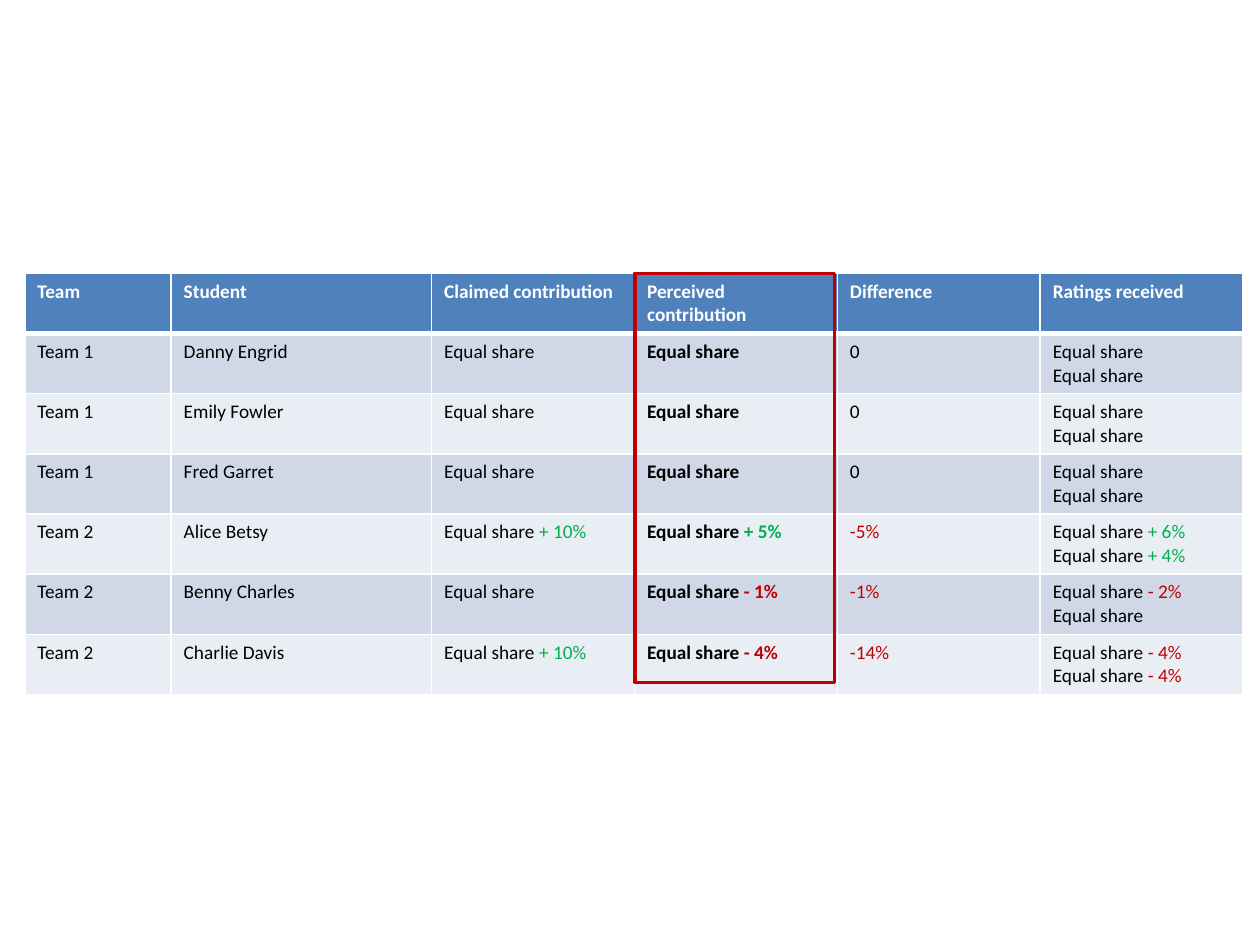
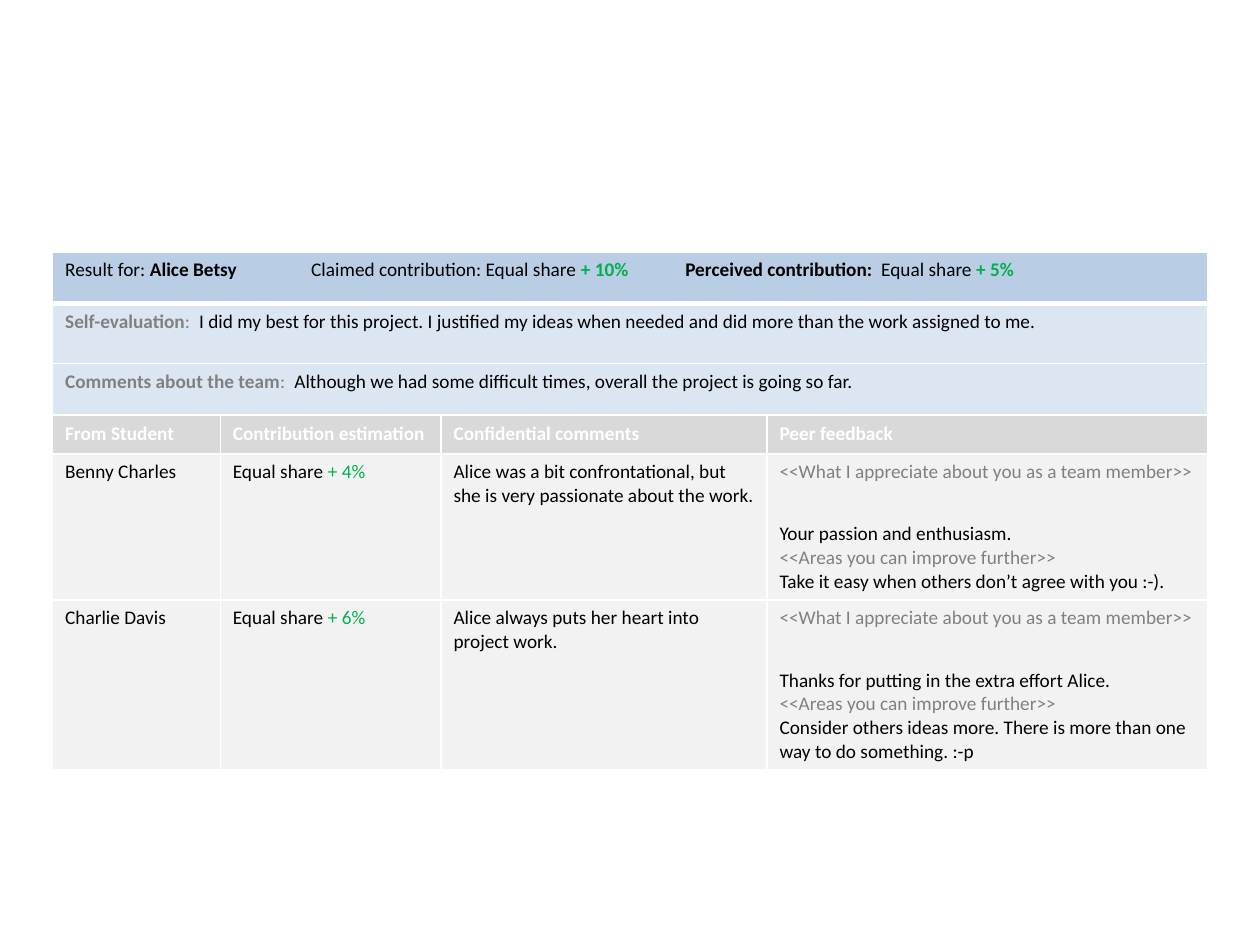
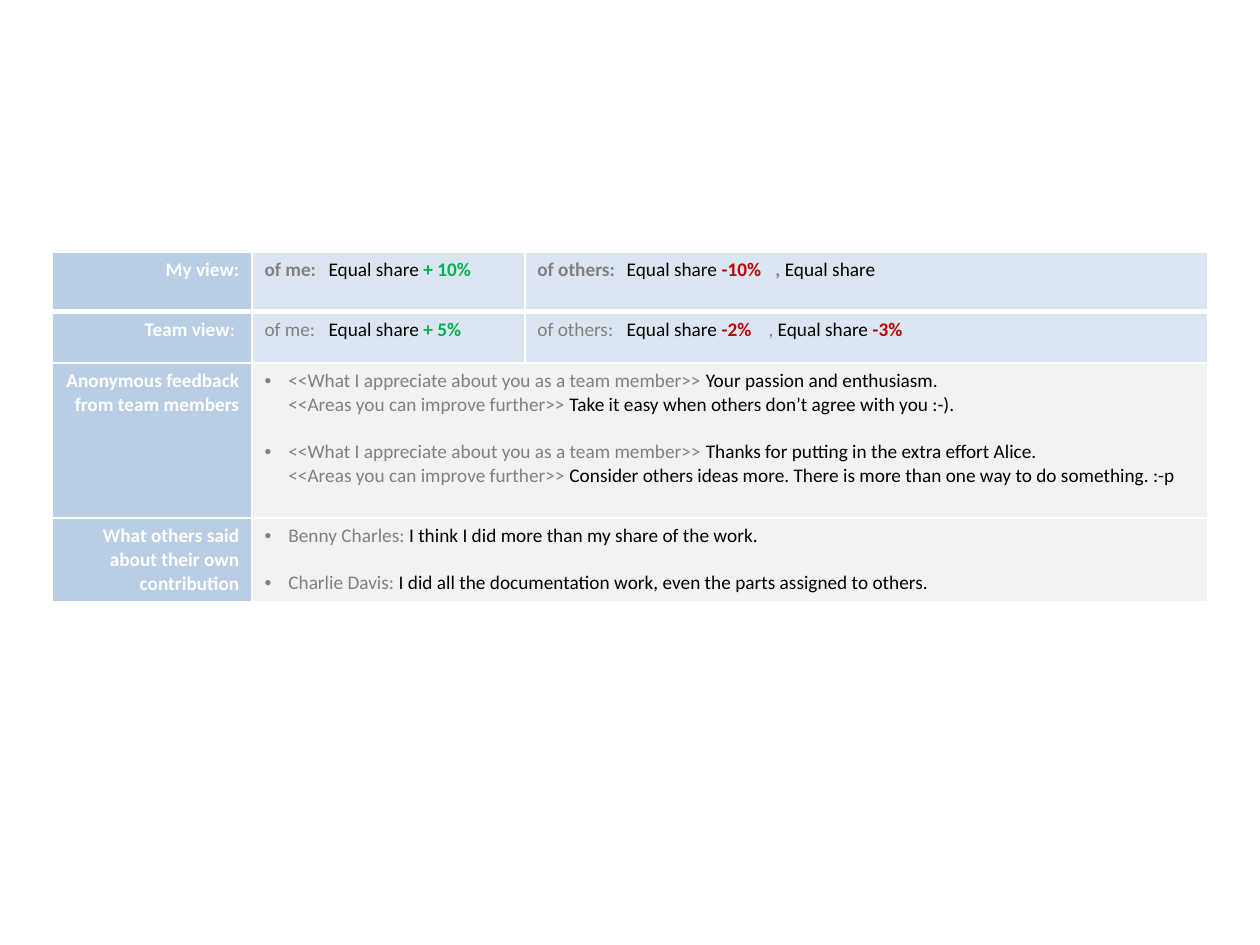
import lxml.etree
import pptx
import pptx.dml.color
import pptx.enum.shapes
import pptx.enum.text
import pptx.oxml.ns
import pptx.util

Cm, Pt = pptx.util.Cm, pptx.util.Pt
qn = pptx.oxml.ns.qn

FONT, SIZE, LINE_GAP = "Calibri", 11, 13.4
COLORS = {
    "white": "FFFFFF", "black": "000000", "grey": "808080",
    "green": "00B050", "red": "C00000",
    "header": "4F81BD", "band_dark": "D0D8E8", "band_light": "E9EDF4",
    "blue": "B9CDE5", "pale_blue": "DCE6F2",
    "mid_grey": "D9D9D9", "pale_grey": "F2F2F2",
}


def add_text(p, text, color="black", bold=False, signed_bold=None, tabs=()):
    """Add runs split at "|"; signed parts turn green or red. Tabs are in cm."""
    for part in text.split("|"):
        r = p.add_run()
        r.text = part
        signed = part[:1] in ("+", "-")
        shade = {"+": "green", "-": "red"}.get(part[:1], color)
        r.font.name, r.font.size = FONT, Pt(SIZE)
        r.font.bold = signed_bold if signed and signed_bold is not None else bold
        r.font.color.rgb = pptx.dml.color.RGBColor.from_string(COLORS[shade])
    if tabs:
        tab_list = lxml.etree.SubElement(p._p.get_or_add_pPr(), qn("a:tabLst"))
        for pos in tabs:
            lxml.etree.SubElement(tab_list, qn("a:tab"), pos=str(Cm(pos)), algn="l")


def add_table(slide, left, top, widths, heights, fills):
    """Add a table with white borders, heavy below the first row; fills is by row."""
    frame = slide.shapes.add_table(len(heights), len(widths), Cm(left), Cm(top),
                                   Cm(sum(widths)), Cm(sum(heights)))
    table = frame.table
    for col, width in zip(table.columns, widths):
        col.width = Cm(width)
    for i, height in enumerate(heights):
        table.rows[i].height = Cm(height)
        for j, cell in enumerate(table.rows[i].cells):
            tcPr = cell._tc.get_or_add_tcPr()
            for side in ("lnL", "lnR", "lnT", "lnB"):
                heavy = (i, side) in ((0, "lnB"), (1, "lnT"))
                ln = lxml.etree.SubElement(tcPr, qn("a:" + side),
                                           w=str(Pt(3 if heavy else 1)))
                fill = lxml.etree.SubElement(ln, qn("a:solidFill"))
                lxml.etree.SubElement(fill, qn("a:srgbClr"), val=COLORS["white"])
            cell.fill.solid()
            cell.fill.fore_color.rgb = pptx.dml.color.RGBColor.from_string(
                COLORS[fills[i][j]])
    return table


prs = pptx.Presentation()
prs.slide_width, prs.slide_height = Cm(25.4), Cm(19.05)
blank = prs.slide_layouts[6]
APPRECIATE = "<<What I appreciate about you as a team member>> "
IMPROVE = "<<Areas you can improve further>>"
feedback = [
    ("Your passion and enthusiasm.",
     "Take it easy when others don’t agree with you :-)."),
    ("Thanks for putting in the extra effort Alice.",
     "Consider others ideas more. There is more than one way to do something. :-p"),
]

# Slide 1: contributions of all students
s = prs.slides.add_slide(blank)
EQUAL = "Equal share"
contributions = [
    ("Team", "Student", "Claimed contribution", "Perceived contribution",
     "Difference", "Ratings received"),
    ("Team 1", "Danny Engrid", EQUAL, EQUAL, "0", EQUAL + "\n" + EQUAL),
    ("Team 1", "Emily Fowler", EQUAL, EQUAL, "0", EQUAL + "\n" + EQUAL),
    ("Team 1", "Fred Garret", EQUAL, EQUAL, "0", EQUAL + "\n" + EQUAL),
    ("Team 2", "Alice Betsy", "Equal share |+ 10%", "Equal share |+ 5%", "-5%",
     "Equal share |+ 6%\nEqual share |+ 4%"),
    ("Team 2", "Benny Charles", EQUAL, "Equal share |- 1%", "-1%",
     "Equal share |- 2%\nEqual share"),
    ("Team 2", "Charlie Davis", "Equal share |+ 10%", "Equal share |- 4%", "-14%",
     "Equal share |- 4%\nEqual share |- 4%"),
]
PERCEIVED = 3
bands = ["header"] + ["band_dark", "band_light"] * 3
table = add_table(s, 0.5, 5.51, [2.95, 5.25] + [4.09] * 4, [1.21] * 7,
                  [[band] * 6 for band in bands])
for i, row in enumerate(contributions):
    for j, text in enumerate(row):
        tf = table.cell(i, j).text_frame
        for k, line in enumerate(text.split("\n")):
            p = tf.add_paragraph() if k else tf.paragraphs[0]
            add_text(p, line, color="black" if i else "white",
                     bold=i == 0 or j == PERCEIVED)

sp = s.shapes.add_shape(pptx.enum.shapes.MSO_SHAPE.RECTANGLE,
                        Cm(12.8), Cm(5.51), Cm(4.02), Cm(8.25))
sp.shadow.inherit = False
sp.fill.background()
sp.line.color.rgb = pptx.dml.color.RGBColor.from_string(COLORS["red"])
sp.line.width = Pt(2)

# Slide 2: result of one student, as the instructor sees it
s = prs.slides.add_slide(blank)
fills = ["blue", "pale_blue", "pale_blue", "mid_grey", "pale_grey", "pale_grey"]
table = add_table(s, 1.06, 5.08, [3.38, 4.45, 6.57, 8.89],
                  [1.04, 1.21, 1.04, 0.78, 2.65, 3.12], [[fill] * 4 for fill in fills])
summary = [
    [("Result for: ", {}),
     ("Alice Betsy", {"bold": True}),
     ("\tClaimed contribution: Equal share |+ 10%", {"signed_bold": True}),
     ("\tPerceived contribution:", {"bold": True}),
     ("\tEqual share |+ 5%", {"signed_bold": True, "tabs": (4.96, 12.5, 16.45)})],
    [("Self-evaluation", {"color": "grey", "bold": True}),
     (":", {"color": "grey"}),
     ("\tI did my best for this project. I justified my ideas when needed and did "
      "more than the work assigned to me.", {"tabs": (2.7,)})],
    [("Comments about the team", {"color": "grey", "bold": True}),
     (":", {"color": "grey"}),
     ("\tAlthough we had some difficult times, overall the project is going so far.",
      {"tabs": (4.62,)})],
]
for i, runs in enumerate(summary):
    table.cell(i, 0).merge(table.cell(i, 3))
    for text, style in runs:
        add_text(table.cell(i, 0).text_frame.paragraphs[0], text, **style)

headings = ["From Student", "Contribution estimation", "Confidential comments",
            "Peer feedback"]
for j, text in enumerate(headings):
    add_text(table.cell(3, j).text_frame.paragraphs[0], text, color="white", bold=True)

reviews = [
    ("Benny Charles", "Equal share |+ 4%",
     "Alice was a bit confrontational, but she is very passionate about the work."),
    ("Charlie Davis", "Equal share |+ 6%",
     "Alice always puts her heart into project work."),
]
for i, (review, (praise, advice)) in enumerate(zip(reviews, feedback), start=4):
    for j, text in enumerate(review):
        add_text(table.cell(i, j).text_frame.paragraphs[0], text)
    tf = table.cell(i, 3).text_frame
    p = tf.paragraphs[0]
    add_text(p, APPRECIATE, color="grey")
    p.add_line_break()
    add_text(p, praise)
    add_text(tf.add_paragraph(), IMPROVE, color="grey")
    add_text(tf.add_paragraph(), advice)

# Slide 3: result as the student sees it
s = prs.slides.add_slide(blank)
fills = [["blue", "pale_blue", "pale_blue"]] * 2 + [["blue", "pale_grey", "pale_grey"]] * 2
table = add_table(s, 1.06, 5.08, [4.02, 5.5, 13.77], [1.2, 1.04, 3.12, 1.68], fills)
labels = [
    [("My view:", True)],
    [("Team view", True), (": ", False)],
    [("Anonymous feedback from team members", True)],
    [("What others said about their own contribution", True)],
]
for i, runs in enumerate(labels):
    p = table.cell(i, 0).text_frame.paragraphs[0]
    p.alignment = pptx.enum.text.PP_ALIGN.RIGHT
    for text, bold in runs:
        add_text(p, text, color="white", bold=bold)

views = [
    ("\tEqual share |+ 10%", "\tEqual share |-10%", "Equal share", True, 4.8),
    ("\tEqual share |+ 5%", "\tEqual share |-2%", "Equal share |-3%", False, 4.66),
]
for i, (me, first, second, bold, comma_at) in enumerate(views):
    p = table.cell(i, 1).text_frame.paragraphs[0]
    add_text(p, "of me:", color="grey", bold=bold or None)
    add_text(p, me, signed_bold=True, tabs=(1.29,))
    p = table.cell(i, 2).text_frame.paragraphs[0]
    add_text(p, "of others:", color="grey", bold=bold)
    add_text(p, first, signed_bold=True)
    add_text(p, "\t, ", color="grey", bold=bold)
    add_text(p, second, signed_bold=True, tabs=(1.8, comma_at))

comments = [
    [[(APPRECIATE, praise), (IMPROVE + " ", advice)] for praise, advice in feedback],
    [[("Benny Charles: ", "I think I did more than my share of the work.")],
     [("Charlie Davis: ",
       "I did all the documentation work, even the parts assigned to others.")]],
]
for i, bullets in enumerate(comments, start=2):
    table.cell(i, 1).merge(table.cell(i, 2))
    tf = table.cell(i, 1).text_frame
    for k, lines in enumerate(bullets):
        p = tf.add_paragraph() if k else tf.paragraphs[0]
        pPr = p._p.get_or_add_pPr()
        pPr.set("marL", str(Cm(0.48)))
        pPr.set("indent", str(-Cm(0.48)))
        lxml.etree.SubElement(pPr, qn("a:buFont"), typeface="Arial")
        lxml.etree.SubElement(pPr, qn("a:buChar"), char="•")
        if k == 0:
            p.space_after = Pt(LINE_GAP)
        for n, (label, text) in enumerate(lines):
            if n:
                p.add_line_break()
            add_text(p, label, color="grey")
            add_text(p, text)

prs.save("out.pptx")
